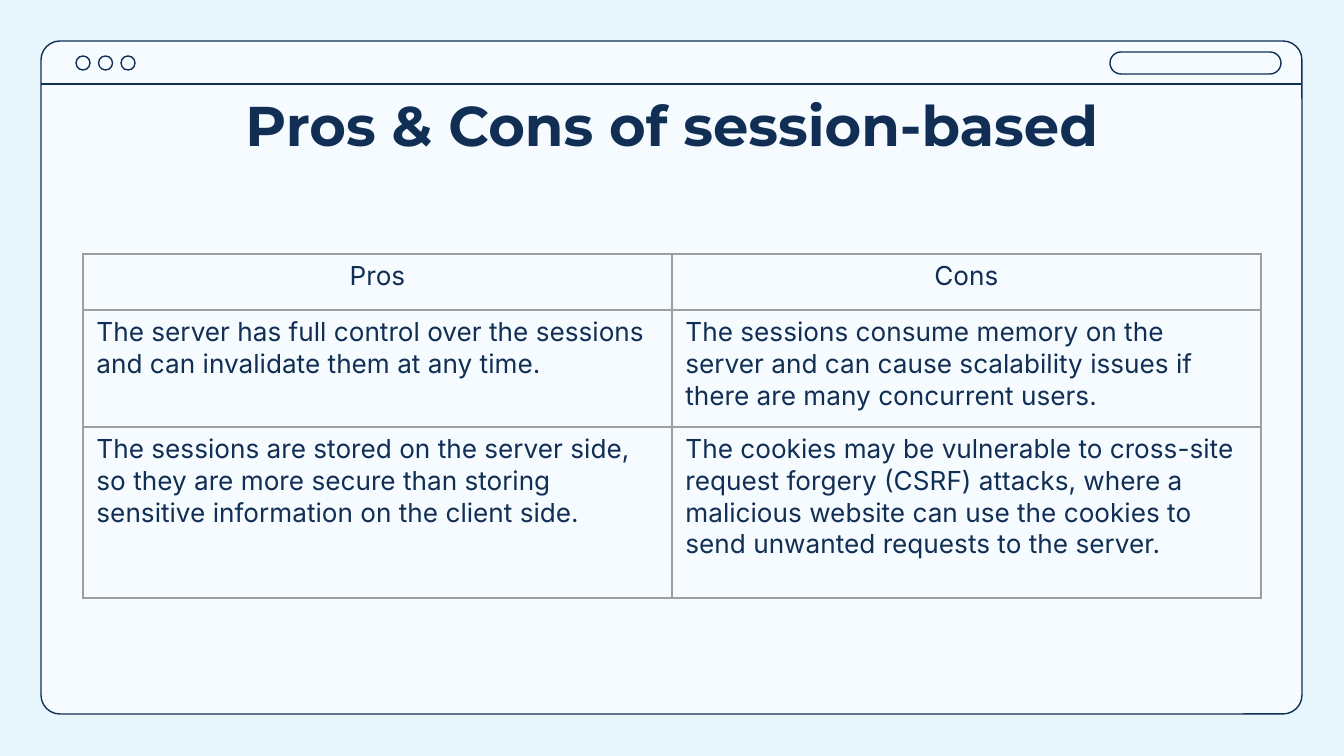
import pptx
import pptx.util
import pptx.dml.color
import pptx.enum.shapes
import pptx.enum.text
import pptx.oxml
import pptx.oxml.ns
import lxml.etree

TITLE = "Pros & Cons of session-based"
ROWS = [
    ("Pros", "Cons"),
    ("The server has full control over the sessions and can invalidate them at any time.",
     "The sessions consume memory on the server and can cause scalability issues if "
     "there are many concurrent users."),
    ("The sessions are stored on the server side, so they are more secure than storing "
     "sensitive information on the client side.",
     "The cookies may be vulnerable to cross-site request forgery (CSRF) attacks, where a "
     "malicious website can use the cookies to send unwanted requests to the server."),
]
ROW_HEIGHTS = [56, 117, 171]
COL_WIDTH = 589
NAVY, PANEL, SKY, GREY = "112E54", "F5FBFF", "E6F6FC", "9E9E9E"
SHAPE = pptx.enum.shapes.MSO_SHAPE
ALIGN = pptx.enum.text.PP_ALIGN


def px(n):
    return pptx.util.Emu(round(n * 914400 / 134.4))


def color(value):
    return pptx.dml.color.RGBColor.from_string(value)


def set_font(p, name, size, bold=False):
    p.font.name = name
    p.font.size = pptx.util.Pt(size)
    p.font.bold = bold
    p.font.color.rgb = color(NAVY)


def set_line(line):
    line.color.rgb = color(NAVY)
    line.width = pptx.util.Pt(0.75)


def add_outline(kind, x, y, w, h, fill=None, adj=None):
    sp = s.shapes.add_shape(kind, px(x), px(y), px(w), px(h))
    sp.shadow.inherit = False
    if fill:
        sp.fill.solid()
        sp.fill.fore_color.rgb = color(fill)
    else:
        sp.fill.background()
    if adj is not None:
        sp.adjustments[0] = adj
    set_line(sp.line)


def set_borders(cell):
    tc_pr = cell._tc.get_or_add_tcPr()
    for i, side in enumerate(("lnL", "lnR", "lnT", "lnB")):
        tc_pr.insert(i, pptx.oxml.parse_xml(
            f'<a:{side} {pptx.oxml.ns.nsdecls("a")} w="9525"><a:solidFill>'
            f'<a:srgbClr val="{GREY}"/></a:solidFill></a:{side}>'))


prs = pptx.Presentation()
prs.slide_width, prs.slide_height = px(1344), px(756)
s = prs.slides.add_slide(prs.slide_layouts[5])
s.background.fill.solid()
s.background.fill.fore_color.rgb = color(SKY)

add_outline(SHAPE.ROUNDED_RECTANGLE, 41, 41, 1261, 673, PANEL, 0.028)
for i in range(3):
    add_outline(SHAPE.OVAL, 76 + 22.5 * i, 56, 14, 14)
add_outline(SHAPE.ROUNDED_RECTANGLE, 1110, 52, 171, 22, adj=0.5)
bar = s.shapes.add_connector(pptx.enum.shapes.MSO_CONNECTOR.STRAIGHT,
                             px(41), px(84), px(1302), px(84))
set_line(bar.line)
lxml.etree.SubElement(bar._element.spPr, pptx.oxml.ns.qn("a:effectLst"))

title = s.shapes.title
title.left, title.top, title.width, title.height = px(106), px(77), px(1132), px(85)
tf = title.text_frame
tf.text = TITLE
tf.word_wrap = True
tf.auto_size = pptx.enum.text.MSO_AUTO_SIZE.NONE
tf.vertical_anchor = pptx.enum.text.MSO_ANCHOR.TOP
tf.margin_left = tf.margin_right = tf.margin_top = tf.margin_bottom = pptx.util.Inches(0.1)
tf.paragraphs[0].alignment = ALIGN.CENTER
set_font(tf.paragraphs[0], "Montserrat", 30, True)
s.shapes._spTree.append(title._element)

table = s.shapes.add_table(len(ROWS), 2, px(83), px(254),
                           px(2 * COL_WIDTH), px(sum(ROW_HEIGHTS))).table
table.first_row = table.horz_banding = False
for col in table.columns:
    col.width = px(COL_WIDTH)
for r, (texts, height) in enumerate(zip(ROWS, ROW_HEIGHTS)):
    table.rows[r].height = px(height)
    for c, text in enumerate(texts):
        cell = table.cell(r, c)
        cell.text = text
        cell.fill.background()
        set_borders(cell)
        p = cell.text_frame.paragraphs[0]
        p.alignment = ALIGN.LEFT if r else ALIGN.CENTER
        set_font(p, "Inter", 14)

prs.save("out.pptx")
